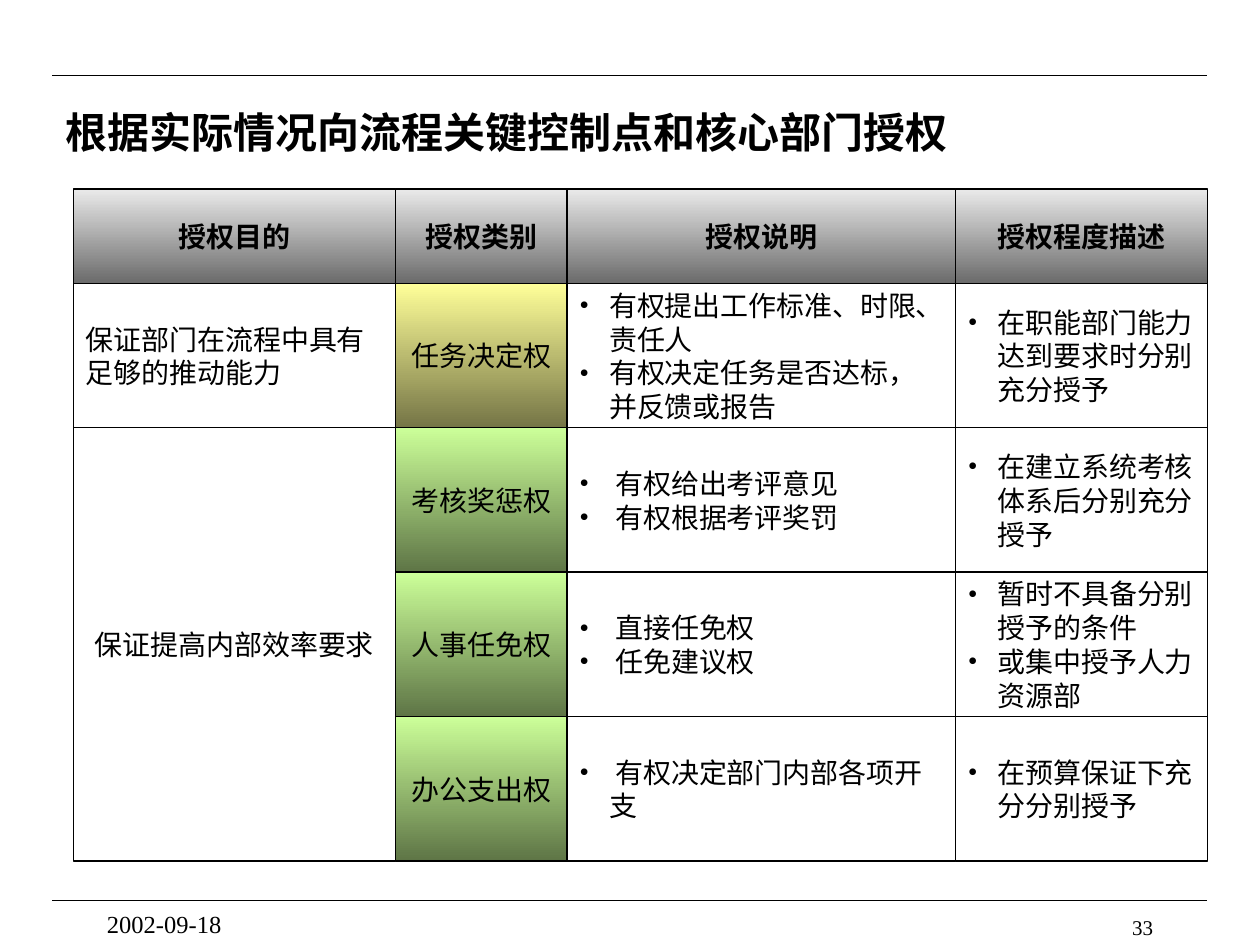
from dataclasses import dataclass

import pptx
import pptx.dml.color
import pptx.enum.shapes
import pptx.enum.text
import pptx.oxml.ns
import pptx.util
from lxml import etree

Pt = pptx.util.Pt
Align = pptx.enum.text.PP_ALIGN
Anchor = pptx.enum.text.MSO_ANCHOR
qn = pptx.oxml.ns.qn

COLORS = {
    "black": "000000",
    "white": "FFFFFF",
    "header_top": "EAEAEA",
    "header_bottom": "6B6B6B",
    "yellow_top": "FFFF99",
    "yellow_bottom": "757546",
    "green_top": "CCFF99",
    "green_bottom": "5E7546",
}
CJK_FONT = "Noto Sans CJK SC"
LATIN_FONT = "Times New Roman"

COLUMN_EDGES = [42, 226, 324, 546, 690]
HEADER_TOP, HEADER_BOTTOM, ROW_HEIGHT = 108, 162, 82.5
ROW_EDGES = [HEADER_TOP] + [HEADER_BOTTOM + ROW_HEIGHT * i for i in range(5)]
LINE_HEIGHT = 19.3
BULLET_INDENT = 17
RULE_LEFT, RULE_RIGHT = 30, 690


@dataclass
class Cell:
    row: int
    column: int
    lines: list[str]
    fill: str = "white"
    align: Align = Align.CENTER
    bold: bool = False
    bullets: bool = False
    row_span: int = 1


@dataclass
class Label:
    text: str
    left: float
    top: float
    width: float
    height: float
    size: float
    align: Align


HEADERS = ["授权目的", "授权类别", "授权说明", "授权程度描述"]
RIGHTS = [
    ("任务决定权", "yellow",
     ["有权提出工作标准、时限、责任人", "有权决定任务是否达标，并反馈或报告"],
     ["在职能部门能力达到要求时分别充分授予"]),
    ("考核奖惩权", "green",
     [" 有权给出考评意见", " 有权根据考评奖罚"],
     ["在建立系统考核体系后分别充分授予"]),
    ("人事任免权", "green",
     [" 直接任免权", " 任免建议权"],
     ["暂时不具备分别授予的条件", "或集中授予人力资源部"]),
    ("办公支出权", "green",
     [" 有权决定部门内部各项开支"],
     ["在预算保证下充分分别授予"]),
]
LABELS = [
    Label("33", 516, 519, 150, 12, 12, Align.RIGHT),
    Label("2002-09-18", 54, 516, 150, 18, 14, Align.LEFT),
]


def rgb(name: str) -> pptx.dml.color.RGBColor:
    return pptx.dml.color.RGBColor.from_string(COLORS[name])


def format_runs(p, font: str, size: float, bold: bool = False) -> None:
    for r in p.runs:
        r.font.name = font
        r.font.size = Pt(size)
        r.font.bold = bold
        r.font.color.rgb = rgb("black")
        east_asian = etree.SubElement(r._r.get_or_add_rPr(), qn("a:ea"))
        east_asian.set("typeface", CJK_FONT)


def add_bullet(p) -> None:
    props = p._p.get_or_add_pPr()
    props.set("marL", str(Pt(BULLET_INDENT)))
    props.set("indent", str(-Pt(BULLET_INDENT)))
    etree.SubElement(props, qn("a:buFont")).set("typeface", LATIN_FONT)
    etree.SubElement(props, qn("a:buChar")).set("char", "•")


def fill_shape(sp, name: str) -> None:
    """Fill with a plain colour, or from name_top down to name_bottom."""
    if name in COLORS:
        sp.fill.solid()
        sp.fill.fore_color.rgb = rgb(name)
        return
    sp.fill.gradient()
    sp.fill.gradient_angle = 270
    for stop, end, position in zip(sp.fill.gradient_stops, ("top", "bottom"), (0, 1)):
        stop.color.rgb = rgb(f"{name}_{end}")
        stop.position = position


def draw_cell(s, cell: Cell) -> None:
    left, right = COLUMN_EDGES[cell.column:cell.column + 2]
    top, bottom = ROW_EDGES[cell.row], ROW_EDGES[cell.row + cell.row_span]
    sp = s.shapes.add_shape(pptx.enum.shapes.MSO_SHAPE.RECTANGLE,
                            Pt(left), Pt(top), Pt(right - left), Pt(bottom - top))
    sp.shadow.inherit = False
    fill_shape(sp, cell.fill)
    sp.line.color.rgb = rgb("black")
    sp.line.width = Pt(0.75)
    tf = sp.text_frame
    tf.word_wrap = True
    tf.vertical_anchor = Anchor.MIDDLE
    tf.text = "\n".join(cell.lines)
    for p in tf.paragraphs:
        p.alignment = cell.align
        p.line_spacing = Pt(LINE_HEIGHT)
        if cell.bullets:
            add_bullet(p)
        format_runs(p, CJK_FONT, 16, cell.bold)


def draw_label(s, label: Label) -> None:
    sp = s.shapes.add_textbox(Pt(label.left), Pt(label.top), Pt(label.width), Pt(label.height))
    tf = sp.text_frame
    tf.word_wrap = True
    tf.text = label.text
    p = tf.paragraphs[0]
    p.alignment = label.align
    format_runs(p, LATIN_FONT, label.size)


def draw_rule(s, y: float) -> None:
    rule = s.shapes.add_connector(pptx.enum.shapes.MSO_CONNECTOR.STRAIGHT,
                                  Pt(RULE_LEFT), Pt(y), Pt(RULE_RIGHT), Pt(y))
    rule.line.color.rgb = rgb("black")
    rule.line.width = Pt(0.75)
    etree.SubElement(rule._element.spPr, qn("a:effectLst"))


def draw_title(s, text: str) -> None:
    title = s.shapes.title
    title.left, title.top, title.width, title.height = Pt(30), Pt(54), Pt(660), Pt(42)
    tf = title.text_frame
    tf.text = text
    tf.word_wrap = True
    tf.vertical_anchor = Anchor.MIDDLE
    p = tf.paragraphs[0]
    p.alignment = Align.LEFT
    format_runs(p, LATIN_FONT, 24, bold=True)


def table_cells() -> list[Cell]:
    cells = [Cell(0, i, [text], "header", bold=True) for i, text in enumerate(HEADERS)]
    cells += [
        Cell(1, 0, ["保证部门在流程中具有足够的推动能力"], align=Align.LEFT),
        Cell(2, 0, ["保证提高内部效率要求"], row_span=3),
    ]
    for row, (right, fill, details, degree) in enumerate(RIGHTS, start=1):
        cells.append(Cell(row, 1, [right], fill))
        for column, lines in ((2, details), (3, degree)):
            cells.append(Cell(row, column, lines, align=Align.LEFT, bullets=True))
    return cells


def main() -> None:
    prs = pptx.Presentation()
    prs.slide_width, prs.slide_height = Pt(720), Pt(540)
    s = prs.slides.add_slide(prs.slide_layouts.get_by_name("Title Only"))
    for y in (43, 514.5):
        draw_rule(s, y)
    draw_title(s, "根据实际情况向流程关键控制点和核心部门授权")
    for cell in table_cells():
        draw_cell(s, cell)
    for label in LABELS:
        draw_label(s, label)
    prs.save("out.pptx")


if __name__ == "__main__":
    main()
